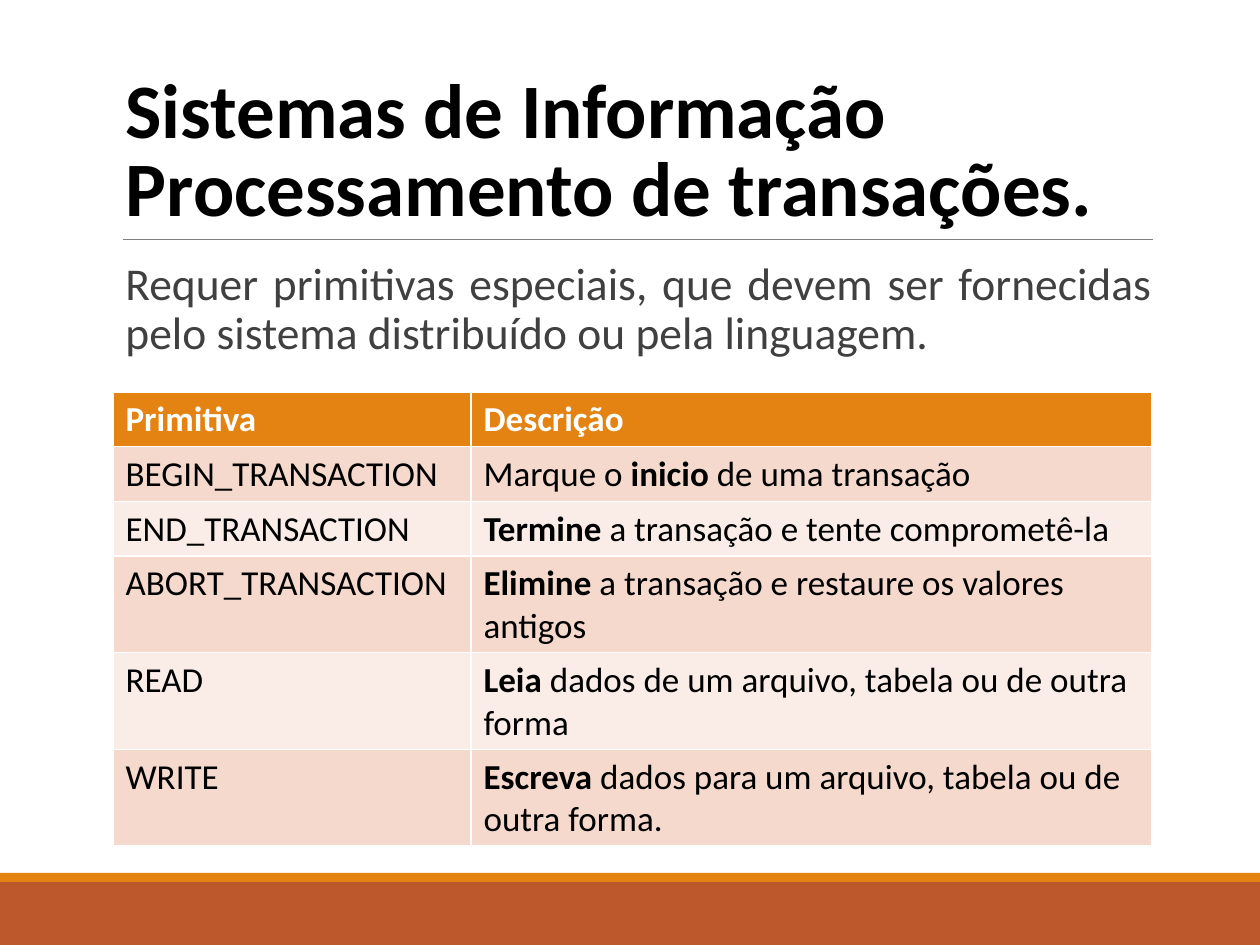
from pptx import Presentation
from pptx.dml.color import RGBColor
from pptx.enum.shapes import MSO_CONNECTOR, MSO_SHAPE
from pptx.enum.text import MSO_ANCHOR, MSO_AUTO_SIZE, PP_ALIGN
from pptx.oxml.ns import qn
from pptx.util import Pt
from lxml.etree import SubElement

PX = 914400 // 126
WIDE, HIGH = 1260, 945
LEFT, SPAN = 113, 1040
COLS = (358, 681)
ROW = 52
ORANGE, RUST = "E48312", "BD582C"
BANDS = ("F5D9CC", "FAEDE7")
HEAD = ("Primitiva", "Descrição")
# Each row: primitive, then plain, bold and plain parts of its description
ROWS = (
    ("BEGIN_TRANSACTION", "Marque o ", "inicio", " de uma transação"),
    ("END_TRANSACTION", "", "Termine", " a transação e tente comprometê-la"),
    ("ABORT_TRANSACTION", "", "Elimine",
     " a transação e restaure os valores antigos"),
    ("READ", "", "Leia", " dados de um arquivo, tabela ou de outra forma"),
    ("WRITE", "", "Escreva",
     " dados para um arquivo, tabela ou de outra forma."),
)


def px(*nums):
    return [n * PX for n in nums]


def rgb(code):
    return RGBColor.from_string(code)


def style(run, size, color, bold=False):
    font = run.font
    font.name, font.size, font.bold = "Calibri", Pt(size), bold
    font.color.rgb = rgb(color)


def add_bar(slide, top, high, color):
    bar = slide.shapes.add_shape(MSO_SHAPE.RECTANGLE, *px(0, top, WIDE, high))
    bar.shadow.inherit = False
    bar.fill.solid()
    bar.fill.fore_color.rgb = rgb(color)
    bar.line.fill.background()


def add_rule(slide):
    rule = slide.shapes.add_connector(
        MSO_CONNECTOR.STRAIGHT, *px(123, 239, LEFT + SPAN, 239))
    rule.line.color.rgb = rgb("808080")
    rule.line.width = Pt(0.5)
    SubElement(rule._element.spPr, qn("a:effectLst"))


def set_title(slide, text):
    title = slide.shapes.title
    title.left, title.top, title.width, title.height = px(LEFT, 39, SPAN, 200)
    frame = title.text_frame
    frame.text = text
    frame.auto_size = MSO_AUTO_SIZE.NONE
    frame.vertical_anchor = MSO_ANCHOR.BOTTOM
    para = frame.paragraphs[0]
    para.alignment, para.line_spacing = PP_ALIGN.LEFT, 0.85
    style(para.runs[0], 44, "000000", True)


def add_intro(slide, text):
    box = slide.shapes.add_textbox(*px(LEFT, 255, SPAN, 120))
    frame = box.text_frame
    frame.word_wrap = True
    frame.margin_right = 0
    frame.text = text
    para = frame.paragraphs[0]
    para.alignment, para.line_spacing = PP_ALIGN.JUSTIFY, 0.9
    para.space_before, para.space_after = Pt(12), Pt(2)
    style(para.runs[0], 26, "404040")


def fill_cell(cell, fill, color, parts):
    """Write (text, bold) parts into a cell, skipping empty ones."""
    cell.fill.solid()
    cell.fill.fore_color.rgb = rgb(fill)
    para = cell.text_frame.paragraphs[0]
    for text, bold in parts:
        if text:
            run = para.add_run()
            run.text = text
            style(run, 20, color, bold)


def add_grid(slide):
    count = len(ROWS) + 1
    grid = slide.shapes.add_table(
        count, len(COLS), *px(LEFT, 392, sum(COLS), ROW * count)).table
    for col, wide in zip(grid.columns, COLS):
        col.width = wide * PX
    for i, text in enumerate(HEAD):
        fill_cell(grid.cell(0, i), ORANGE, "FFFFFF", [(text, True)])
    for i, (name, pre, key, post) in enumerate(ROWS):
        fill = BANDS[i % 2]
        fill_cell(grid.cell(i + 1, 0), fill, "000000", [(name, False)])
        fill_cell(grid.cell(i + 1, 1), fill, "000000",
                  [(pre, False), (key, True), (post, False)])


def main():
    deck = Presentation()
    deck.slide_width, deck.slide_height = px(WIDE, HIGH)
    slide = deck.slides.add_slide(deck.slide_layouts[5])
    add_bar(slide, 882, 63, RUST)
    add_bar(slide, 873, 9, ORANGE)
    add_rule(slide)
    set_title(slide, "Sistemas de Informação Processamento de transações.")
    add_intro(slide, "Requer primitivas especiais, que devem ser fornecidas "
                     "pelo sistema distribuído ou pela linguagem.")
    add_grid(slide)
    deck.save("out.pptx")


if __name__ == "__main__":
    main()
